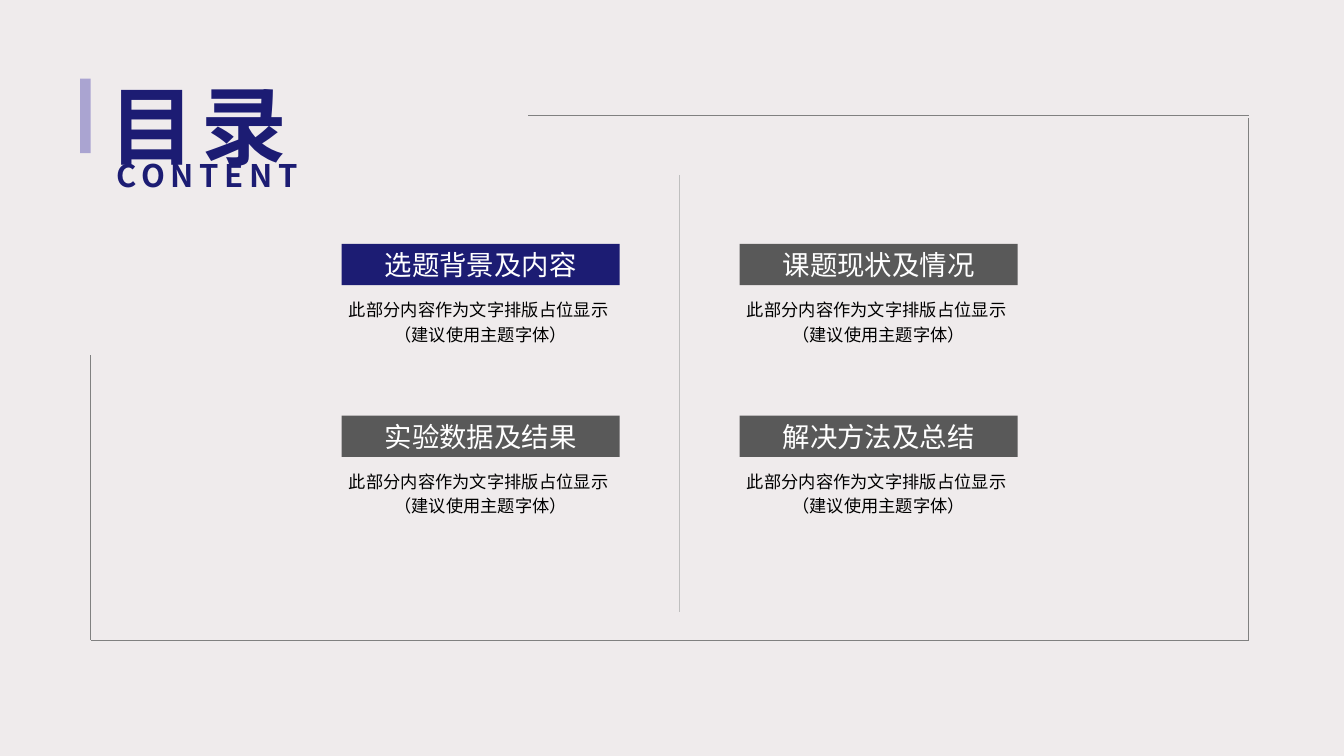
import pptx
import pptx.util
import pptx.dml.color
import pptx.enum.shapes
import pptx.enum.text
import pptx.oxml.ns
import lxml.etree

Pt = pptx.util.Pt
qn = pptx.oxml.ns.qn
PP_ALIGN = pptx.enum.text.PP_ALIGN
FONT = "Noto Sans CJK SC"
COLORS = {
    "background": "EFEBEC",
    "navy": "1C1C73",
    "lilac": "AAA4D1",
    "gray": "595959",
    "frame": "808080",
    "divider": "BFBFBF",
    "white": "FFFFFF",
    "black": "000000",
}
TOPICS = ["选题背景及内容", "课题现状及情况", "实验数据及结果", "解决方法及总结"]
CAPTION = "此部分内容作为文字排版占位显示 \v（建议使用主题字体）"
CARD_LEFT, CARD_TOP = 244, 174.2
CARD_WIDTH, HEADING_HEIGHT, CAPTION_HEIGHT = 198.7, 29.5, 50.4
COLUMN_STEP, ROW_STEP = 284.3, 122.7


def rgb(name):
    return pptx.dml.color.RGBColor.from_string(COLORS[name])


def write(sp, text, size, color, align, bold=False, spacing=0, wrap=True):
    tf = sp.text_frame
    tf.auto_size = pptx.enum.text.MSO_AUTO_SIZE.NONE
    tf.word_wrap = wrap
    tf.vertical_anchor = pptx.enum.text.MSO_ANCHOR.MIDDLE
    p = tf.paragraphs[0]
    p.text = text
    p.alignment = align
    p.font.name = FONT
    p.font.size = Pt(size)
    p.font.bold = bold
    p.font.color.rgb = rgb(color)
    props = p.font._element if hasattr(p.font, "_element") else p._p.pPr.find(qn("a:defRPr"))
    props.set("spc", str(spacing * 100))
    ea = lxml.etree.SubElement(props, qn("a:ea"))
    ea.set("typeface", FONT)
    props.find(qn("a:latin")).addnext(ea)
    return p


def add_bar(s, left, top, width, height, color):
    sp = s.shapes.add_shape(pptx.enum.shapes.MSO_SHAPE.RECTANGLE,
                            Pt(left), Pt(top), Pt(width), Pt(height))
    sp.shadow.inherit = False
    sp.fill.solid()
    sp.fill.fore_color.rgb = rgb(color)
    sp.line.fill.background()
    return sp


def add_line(s, start, end, color):
    line = s.shapes.add_connector(pptx.enum.shapes.MSO_CONNECTOR.STRAIGHT,
                                  *map(Pt, start + end))
    line.line.color.rgb = rgb(color)
    line.line.width = Pt(0.5)
    lxml.etree.SubElement(line._element.spPr, qn("a:effectLst"))


def add_title(s):
    sp = s.shapes.title
    sp.left, sp.top, sp.width, sp.height = map(Pt, (71.3, 52.6, 289.4, 72.7))
    write(sp, "目录", 61.2, "navy", PP_ALIGN.LEFT, bold=True, spacing=4)


def add_subtitle(s):
    sp = s.shapes.add_textbox(Pt(76.3), Pt(110.9), Pt(145), Pt(28.8))
    write(sp, "CONTENT", 22.2, "navy", PP_ALIGN.LEFT, bold=True, spacing=4, wrap=False)


def add_card(s, left, top, topic, color):
    heading = add_bar(s, left, top, CARD_WIDTH, HEADING_HEIGHT, color)
    write(heading, topic, 19.6, "white", PP_ALIGN.CENTER, wrap=False)
    caption = s.shapes.add_textbox(Pt(left), Pt(top + HEADING_HEIGHT - 0.5),
                                   Pt(CARD_WIDTH), Pt(CAPTION_HEIGHT))
    tf = caption.text_frame
    tf.margin_left = tf.margin_right = tf.margin_top = tf.margin_bottom = 0
    p = write(caption, CAPTION, 12.3, "black", PP_ALIGN.CENTER)
    p.line_spacing = 1.2


def main():
    prs = pptx.Presentation()
    prs.slide_width, prs.slide_height = Pt(960), Pt(540)
    s = prs.slides.add_slide(prs.slide_layouts[5])
    s.background.fill.solid()
    s.background.fill.fore_color.rgb = rgb("background")

    add_title(s)
    add_bar(s, 57.3, 56.2, 7.5, 53.2, "lilac")
    add_subtitle(s)
    add_line(s, (485.3, 125.3), (485.3, 437), "divider")
    for i, topic in enumerate(TOPICS):
        row, column = divmod(i, 2)
        add_card(s, CARD_LEFT + column * COLUMN_STEP, CARD_TOP + row * ROW_STEP,
                 topic, "gray" if i else "navy")

    left, right, top, bottom = 64.8, 892, 82.5, 457.3
    add_line(s, (377.3, top), (right, top), "frame")
    add_line(s, (right, 84.2), (right, bottom), "frame")
    add_line(s, (right, bottom), (left, bottom), "frame")
    add_line(s, (left, bottom), (left, 253.4), "frame")
    prs.save("out.pptx")


main()
